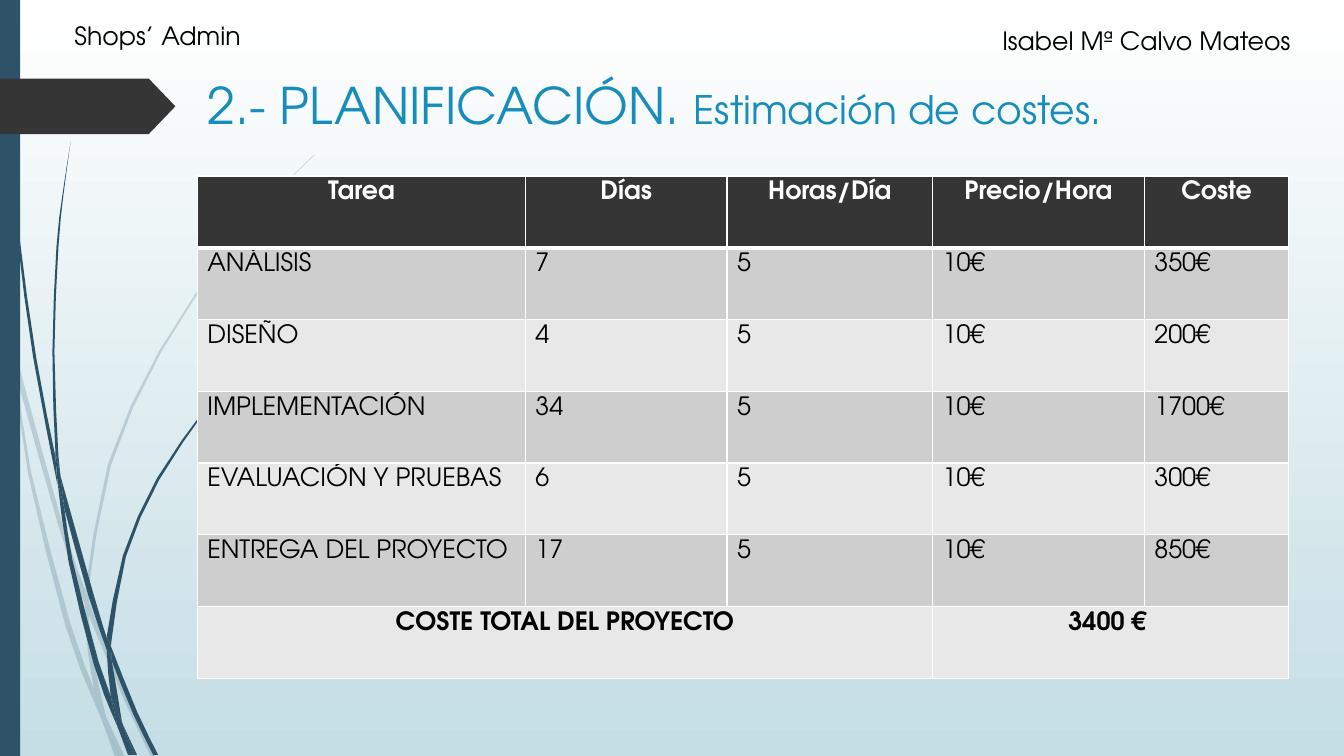
from dataclasses import dataclass

from lxml import etree
from pptx import Presentation
from pptx import util as u
from pptx.dml.color import RGBColor
from pptx.enum import shapes, text
from pptx.oxml.ns import qn


@dataclass(frozen=True)
class Theme:
    font: str = "TeX Gyre Adventor"
    stem: str = "2E5369"
    dark: str = "353535"
    blue: str = "178DBB"
    black: str = "000000"
    white: str = "FFFFFF"
    sky: str = "C5DEE5"
    bands: tuple = ("CECECE", "E8E8E8")
    head: int = 36
    sub: int = 28
    body: int = 18


T = Theme()
COLS, ROWS = 133.33, 75  # grid squares on the slide
UNIT = u.Inches(0.1)     # side of one square

# Each leaf: its two edges, both from tip to foot
PALE = [
    ([(0, 28.2), (0.9, 32.2), (1.1, 35)], [(0, 29.9), (1, 34.4), (1.1, 35)]),
    ([(1.4, 34.5), (6.2, 52), (8.5, 58.6)], [(1.7, 37.6), (5.8, 52.2), (8.4, 59.9)]),
    ([(8.8, 59.6), (9.2, 60.7), (12.7, 69.2), (15.5, 75.1)],
     [(8.8, 61), (12.3, 69.4), (15, 75.1)]),
    ([(10.5, 71.1), (12.4, 75.1)], [(10.5, 71.1), (11.9, 75.1)]),
    ([(1.1, 35), (1.7, 37.6), (3.1, 46.9), (7, 61.9), (9.3, 68.3), (10.1, 71.4)],
     [(1.1, 35), (2.8, 47), (6.5, 62.1), (9.2, 69.3), (10.1, 71.4)]),
    ([(8.4, 59.9), (8.8, 61), (9.1, 64.6), (10.5, 71.1)],
     [(8.4, 59.9), (8.7, 64.6), (9.3, 68.3), (10.5, 71.1)]),
    ([(31.2, 15.3), (26.8, 19.7), (22.8, 24.4), (15.8, 34.8), (10.7, 46.1), (8.5, 58.4)],
     [(31.2, 15.4), (26.8, 19.8), (22.9, 24.5), (16, 34.9), (11, 46.2), (8.8, 58.4), (8.8, 59.6)]),
    ([(10.1, 71.4), (11.9, 75.1)], [(10.1, 71.4), (11.4, 75.1)]),
    ([(8.5, 58.6), (8.8, 59.6), (8.8, 61)], [(8.5, 58.6), (8.4, 59.9), (8.8, 61)]),
    ([(9.3, 68.3), (10.5, 71.1), (11.9, 75.1)], [(9.3, 68.3), (10.1, 71.4), (11.9, 75.1)]),
]
DEEP = [
    ([(0.3, 0), (0.7, 11), (1.7, 23.3), (3.3, 35.5), (5.7, 48.1)],
     [(0.4, 0), (0.8, 10.9), (1.9, 23.2), (3.6, 35.5), (5.5, 45.3)]),
    ([(6, 47.2), (9.3, 59), (10.6, 63.3)], [(6.4, 50.5), (8.8, 59.2), (10.6, 64.5)]),
    ([(11, 64.1), (13.6, 70.6), (15.7, 74.9)], [(11.1, 65.6), (13.2, 70.8), (15.2, 74.9)]),
    ([(5.7, 47.7), (6.4, 50.5), (7.2, 55.6), (9.8, 65.7), (11, 69.1), (11.7, 72.2)],
     [(5.7, 47.7), (6.8, 55.7), (9.3, 65.9), (11.1, 70.8), (11.7, 72.2)]),
    ([(7, 14.1), (6.3, 19.3), (5.8, 24.5), (5.4, 34.9), (5.8, 45.3), (6, 47.2)],
     [(7, 14.1), (6.2, 19.3), (5.6, 24.5), (5.2, 34.9), (5.5, 44.9), (6, 47.2)]),
    ([(12.2, 71.9), (13.6, 74.9)], [(12.2, 71.9), (13.3, 74.9)]),
    ([(5.5, 44.9), (6, 47.2), (6.4, 50.5)], [(5.5, 45.3), (5.7, 47.7), (6.4, 50.5)]),
    ([(26, 34.4), (23.1, 37.3), (20.4, 40.5), (15.6, 47.4), (12.2, 55.1), (10.6, 63.1)],
     [(26.1, 34.4), (23.1, 37.4), (20.5, 40.6), (15.8, 47.6), (12.5, 55.2), (11.1, 63.3), (11, 64.1)]),
    ([(11.7, 72.2), (13.1, 74.9)], [(11.7, 72.2), (12.7, 74.9)]),
    ([(10.6, 64.5), (11.1, 65.6), (12.1, 71.6), (12.2, 71.9)],
     [(10.6, 64.5), (11, 69.1), (12.2, 71.9)]),
    ([(10.6, 63.1), (11, 64.1), (11.1, 65.6)], [(10.6, 63.1), (10.6, 64.5), (11.1, 65.6)]),
    ([(11, 69.1), (12.2, 71.9), (13.3, 74.9)], [(11, 69.1), (11.7, 72.2), (13, 74.9)]),
]

TASKS = [("ANÁLISIS", 7, 350), ("DISEÑO", 4, 200), ("IMPLEMENTACIÓN", 34, 1700),
         ("EVALUACIÓN Y PRUEBAS", 6, 300), ("ENTREGA DEL PROYECTO", 17, 850)]
HEADS = ["Tarea", "Días", "Horas/Día", "Precio/Hora", "Coste"]
WIDTHS = [32.55, 20, 20.4, 21, 14.35]


def grid(*vals):
    return [round(v * UNIT) for v in vals]


def rgb(code):
    return RGBColor.from_string(code)


def paint(shape, code, alpha=None):
    shape.shadow.inherit = False
    shape.fill.solid()
    shape.fill.fore_color.rgb = rgb(code)
    shape.line.fill.background()
    if alpha:
        clr = shape.fill._xPr.find(".//" + qn("a:srgbClr"))
        etree.SubElement(clr, qn("a:alpha")).set("val", str(alpha * 1000))


def write(para, words, size=T.body, color=T.black, bold=False, align=text.PP_ALIGN.LEFT):
    para.alignment = align
    run = para.add_run()
    run.text = words
    font = run.font
    font.name, font.size, font.bold = T.font, u.Pt(size), bold
    font.color.rgb = rgb(color)


def smooth(pts):
    """Add the Catmull-Rom midpoint of each long span."""
    ends = [pts[0], *pts, pts[-1]]
    out = []
    for a, b, c, d in zip(ends, ends[1:], ends[2:], ends[3:]):
        out.append(b)
        if c[1] - b[1] > 4 and len(pts) > 2:
            out.append(tuple((9 * (q + r) - p - s) / 16 for p, q, r, s in zip(a, b, c, d)))
    return out + [pts[-1]]


def leaf(slide, near, far, alpha=None):
    pts = [grid(*p) for p in smooth(near) + smooth(far)[::-1]]
    pen = slide.shapes.build_freeform(*pts[0])
    pen.add_line_segments(pts[1:], close=True)
    paint(pen.convert_to_shape(), T.stem, alpha)


def block(slide, kind, code, *box):
    shape = slide.shapes.add_shape(kind, *grid(*box))
    paint(shape, code)
    return shape


def label(slide, words, *box):
    frame = slide.shapes.add_textbox(*grid(*box)).text_frame
    frame.word_wrap = True
    write(frame.paragraphs[0], words)


def border(cell, **sides):
    props = cell._tc.get_or_add_tcPr()
    for i, (side, width) in enumerate(sides.items()):
        line = etree.Element(qn("a:ln" + side), w=str(u.Pt(width)))
        fill = etree.SubElement(line, qn("a:solidFill"))
        etree.SubElement(fill, qn("a:srgbClr")).set("val", T.white)
        props.insert(i, line)


def costs(slide, x, y, high):
    rows = [HEADS]
    rows += [[task, str(days), "5", "10€", f"{cost}€"] for task, days, cost in TASKS]
    rows.append(["COSTE TOTAL DEL PROYECTO", "", "", "3400 € ", ""])
    last = len(rows) - 1
    frame = slide.shapes.add_table(len(rows), len(HEADS), *grid(x, y, sum(WIDTHS), high))
    table = frame.table
    for col, wide in zip(table.columns, WIDTHS):
        col.width = grid(wide)[0]
    for r, row in enumerate(rows):
        strong = r in (0, last)
        for c, words in enumerate(row):
            cell = table.cell(r, c)
            cell.fill.solid()
            cell.fill.fore_color.rgb = rgb(T.bands[(r - 1) % 2] if r else T.dark)
            border(cell, L=1, R=1, T=3 if r == 1 else 1, B=1 if r else 3)
            if words:
                write(cell.text_frame.paragraphs[0], words, bold=strong,
                      color=T.black if r else T.white,
                      align=text.PP_ALIGN.CENTER if strong else text.PP_ALIGN.LEFT)
    # Total row
    table.cell(last, 0).merge(table.cell(last, 2))
    table.cell(last, 3).merge(table.cell(last, 4))


def heading(slide, *box):
    title = slide.shapes.title
    title.left, title.top, title.width, title.height = grid(*box)
    frame = title.text_frame
    frame.auto_size = text.MSO_AUTO_SIZE.NONE
    frame.vertical_anchor = text.MSO_ANCHOR.MIDDLE
    para = frame.paragraphs[0]
    write(para, "2.- PLANIFICACIÓN. ", size=T.head, color=T.blue)
    write(para, "Estimación de costes.", size=T.sub, color=T.blue)


def backdrop(slide):
    fill = slide.background.fill
    fill.gradient()
    fill.gradient_angle = 270
    for stop, code, pos in zip(fill.gradient_stops, (T.white, T.sky), (0, 1)):
        stop.color.rgb = rgb(code)
        stop.position = pos
    for leaves, alpha in ((PALE, 20), (DEEP, None)):
        for edges in leaves:
            leaf(slide, *edges, alpha=alpha)
    block(slide, shapes.MSO_SHAPE.RECTANGLE, T.stem, 0, 0, 2, ROWS)
    arrow = block(slide, shapes.MSO_SHAPE.PENTAGON, T.dark, 0, 7.8, 17.4, 5.5)
    arrow.adjustments[0] = 0.48


def main():
    deck = Presentation()
    deck.slide_width, deck.slide_height = grid(COLS, ROWS)
    slide = deck.slides.add_slide(deck.slide_layouts[5])
    backdrop(slide)
    heading(slide, 19.57, 6.8, 110.4, 7.1)
    # Project and author
    label(slide, "Shops’ Admin", 6.4, 1.5, 20.5, 4)
    label(slide, "Isabel Mª Calvo Mateos", 98.45, 2, 31.5, 4)
    costs(slide, 19.57, 17.47, 49.85)
    deck.save("out.pptx")


if __name__ == "__main__":
    main()
